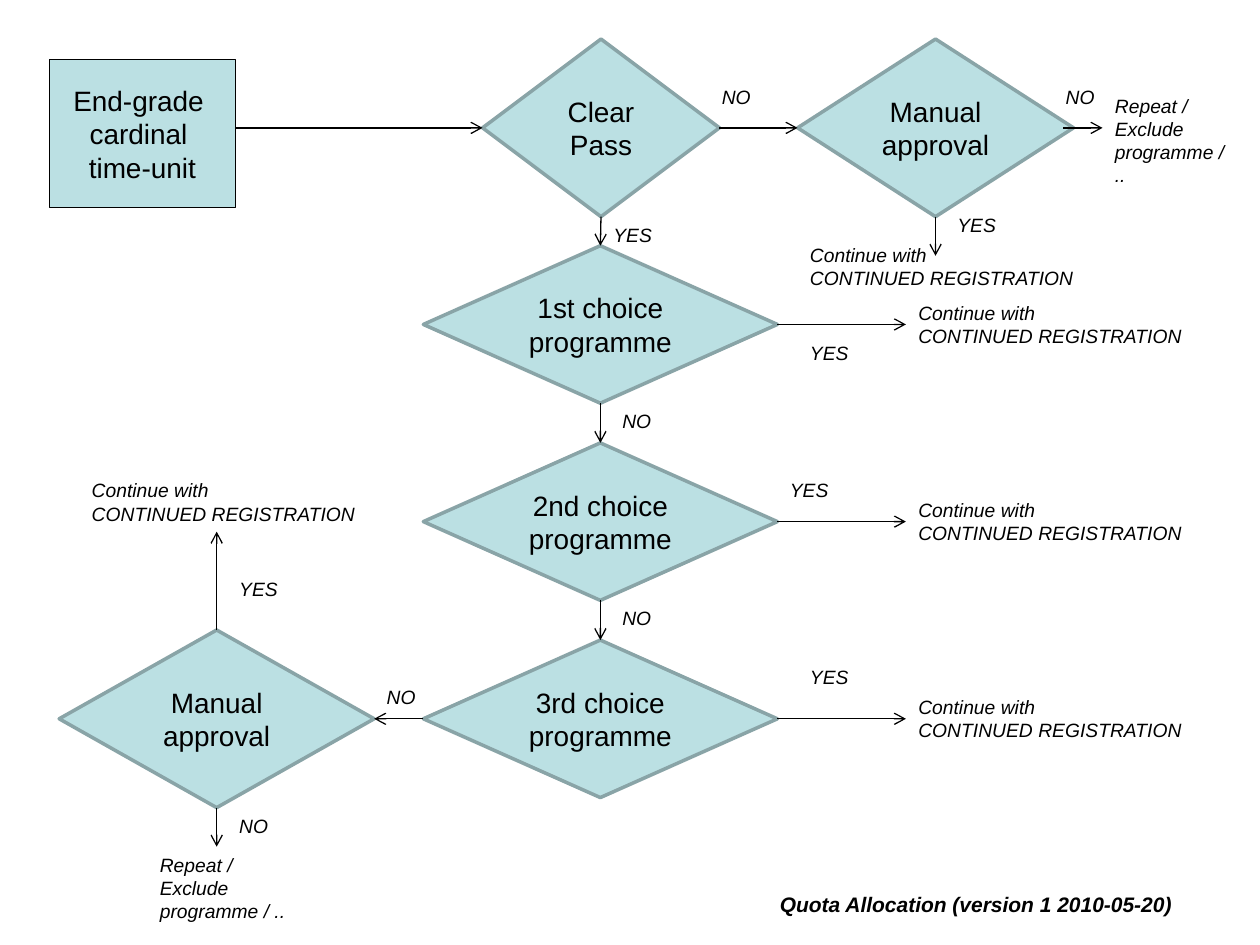
from lxml import etree
from pptx import Presentation
from pptx import util as u
from pptx.dml.color import RGBColor
from pptx.enum import shapes, text
from pptx.oxml import ns

COLOURS = {"fill": "BBE0E3", "edge": "89A4A7", "ink": "000000"}
FONT = "Arial"
TOP, LEFT, BOTTOM, RIGHT = range(4)
CONTINUE = "Continue with\nCONTINUED REGISTRATION"
REPEAT = "Repeat /\nExclude programme / .."


def colour(name):
    """Return the named colour."""
    return RGBColor.from_string(COLOURS[name])


def inches(values):
    """Convert a sequence of numbers to lengths."""
    return [u.Inches(value) for value in values]


def write_text(frame, words, size=11, bold=False, italic=False, align=text.PP_ALIGN.LEFT):
    """Write one paragraph for each line of words."""
    for index, line in enumerate(words.split("\n")):
        para = frame.add_paragraph() if index else frame.paragraphs[0]
        para.alignment = align
        span = para.add_run()
        span.text = line
        span.font.name, span.font.size = FONT, u.Pt(size)
        span.font.bold, span.font.italic = bold, italic
        span.font.color.rgb = colour("ink")


def add_label(page, words, left, top, width=0.55, height=0.29, size=11, bold=False):
    """Add an italic text box."""
    frame = page.shapes.add_textbox(*inches((left, top, width, height))).text_frame
    frame.word_wrap = True
    frame.auto_size = text.MSO_AUTO_SIZE.SHAPE_TO_FIT_TEXT
    write_text(frame, words, size=size, bold=bold, italic=True)


def add_node(page, words, box, kind=shapes.MSO_SHAPE.FLOWCHART_DECISION,
             edge="edge", weight=2, wrap=True):
    """Add a filled flowchart shape with centred text."""
    node = page.shapes.add_shape(kind, *inches(box))
    node.shadow.inherit = False
    node.fill.solid()
    node.fill.fore_color.rgb = colour("fill")
    node.line.color.rgb = colour(edge)
    node.line.width = u.Pt(weight)
    node.text_frame.word_wrap = wrap
    node.text_frame.vertical_anchor = text.MSO_ANCHOR.MIDDLE
    write_text(node.text_frame, words, size=16, align=text.PP_ALIGN.CENTER)
    return node


def add_arrow(page, tail=None, head=None, start=(0, 0), end=(0, 0)):
    """Draw an arrow between points, or between joined (shape, side) pairs."""
    arrow = page.shapes.add_connector(shapes.MSO_CONNECTOR.STRAIGHT, *inches(start + end))
    if tail:
        arrow.begin_connect(*tail)
    if head:
        arrow.end_connect(*head)
    arrow.line.color.rgb = colour("ink")
    arrow.line.width = u.Pt(0.75)
    etree.SubElement(arrow.line._get_or_add_ln(), ns.qn("a:tailEnd"), type="arrow")
    etree.SubElement(arrow._element.spPr, ns.qn("a:effectLst"))


def add_grade_row(page, left, top):
    """Place the start box, the pass check and its manual approval."""
    middle = top + 0.705
    add_node(page, "End-grade \ncardinal \ntime-unit", (left, top + 0.16, 1.48, 1.18),
             kind=shapes.MSO_SHAPE.RECTANGLE, edge="ink", weight=0.75, wrap=False)
    clear_pass = add_node(page, "Clear Pass", (left + 3.44, top, 1.88, 1.41))
    approval = add_node(page, "Manual approval", (left + 5.94, top, 2.19, 1.41))
    add_arrow(page, start=(left + 1.48, middle), head=(clear_pass, LEFT))
    add_arrow(page, tail=(clear_pass, RIGHT), head=(approval, LEFT))
    add_arrow(page, start=(left + 8.05, middle), end=(left + 8.36, middle))
    add_arrow(page, tail=(approval, BOTTOM), end=(left + 7.035, top + 1.72))
    add_label(page, "NO", left + 5.24, top + 0.32)
    add_label(page, "NO", left + 7.97, top + 0.32)
    add_label(page, "YES", left + 4.38, top + 1.41)
    add_label(page, "YES", left + 7.11, top + 1.33)
    add_label(page, REPEAT, left + 8.36, top + 0.39, 1.09, 0.84)
    add_label(page, CONTINUE, left + 5.94, top + 1.57, 2.34, 0.47)
    return clear_pass


def add_choice_column(page, left, top):
    """Place the three choices with their outcomes and return the choices."""
    width, height, pitch = 2.81, 1.25, 1.565
    yes_places = ((2.97, 0.71), (2.81, 0.23), (2.97, 0.15))
    choices = []
    for index, (ordinal, (across, down)) in enumerate(zip(("1st", "2nd", "3rd"), yes_places)):
        row = top + index * pitch
        choice = add_node(page, f"{ordinal} choice programme", (left, row, width, height))
        add_arrow(page, tail=(choice, RIGHT), end=(left + 3.83, row + height / 2))
        add_label(page, "YES", left + across, row + down)
        add_label(page, CONTINUE, left + 3.83, row + 0.39, 2.34, 0.47)
        if choices:
            add_arrow(page, tail=(choices[-1], BOTTOM), head=(choice, TOP))
            add_label(page, "NO", left + 1.48, row - pitch + height)
        choices.append(choice)
    return choices


def add_final_approval(page, left, top):
    """Place the last manual approval with its two outcomes."""
    centre = left + 1.25
    approval = add_node(page, "Manual approval", (left, top + 1.25, 2.5, 1.41))
    add_arrow(page, tail=(approval, TOP), end=(centre, top + 0.47))
    add_arrow(page, tail=(approval, BOTTOM), end=(centre, top + 2.97))
    add_label(page, "YES", centre + 0.08, top + 0.78)
    add_label(page, "NO", centre + 0.08, top + 2.66)
    add_label(page, CONTINUE, left + 0.16, top, 2.34, 0.47)
    add_label(page, REPEAT, left + 0.7, top + 2.97, 1.41, 0.65)
    return approval


def main():
    """Build and save the flowchart."""
    deck = Presentation()
    deck.slide_width, deck.slide_height = inches((10, 7.5))
    page = deck.slides.add_slide(deck.slide_layouts[6])
    clear_pass = add_grade_row(page, 0.39, 0.31)
    choices = add_choice_column(page, 3.36, 1.95)
    approval = add_final_approval(page, 0.47, 3.75)
    add_arrow(page, tail=(clear_pass, BOTTOM), head=(choices[0], TOP))
    add_arrow(page, tail=(choices[-1], LEFT), head=(approval, RIGHT))
    add_label(page, "NO", 2.97, 5.39)
    add_label(page, "Quota Allocation (version 1 2010-05-20)", 6.09, 7.03, 3.55, 0.3,
              size=12, bold=True)
    deck.save("out.pptx")


if __name__ == "__main__":
    main()
